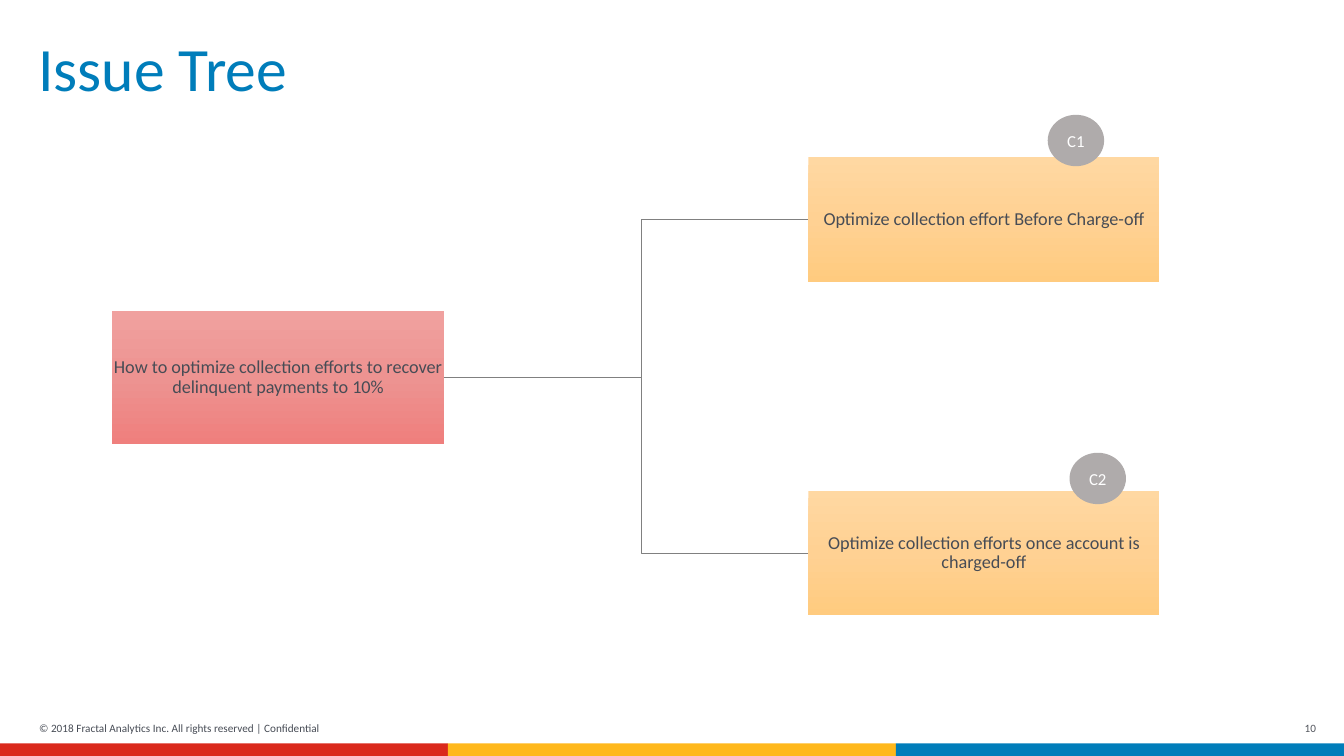
from copy import deepcopy

from pptx import Presentation
from pptx.dml.color import RGBColor
from pptx.enum.shapes import MSO_SHAPE
from pptx.enum.text import MSO_ANCHOR, PP_ALIGN
from pptx.util import Pt

RECTANGLE, OVAL = MSO_SHAPE.RECTANGLE, MSO_SHAPE.OVAL
TOP, MIDDLE, BOTTOM = MSO_ANCHOR.TOP, MSO_ANCHOR.MIDDLE, MSO_ANCHOR.BOTTOM
LEFT, CENTER = PP_ALIGN.LEFT, PP_ALIGN.CENTER

RED = RGBColor(0xDA, 0x29, 0x1C)
YELLOW = RGBColor(0xFF, 0xB8, 0x1C)
BLUE = RGBColor(0x00, 0x7D, 0xBA)
INK = RGBColor(0x47, 0x4C, 0x55)
NUMBER_INK = RGBColor(0x52, 0x55, 0x5D)
BRANCH_GRAY = RGBColor(0x80, 0x80, 0x80)
BADGE_GRAY = RGBColor(0xAF, 0xAB, 0xAB)
WHITE = RGBColor(0xFF, 0xFF, 0xFF)
PINK_SHADES = (RGBColor(0xF0, 0xA1, 0x9F), RGBColor(0xED, 0x93, 0x91),
               RGBColor(0xEF, 0x7F, 0x7D))
ORANGE_SHADES = (RGBColor(0xFF, 0xD8, 0xA2), RGBColor(0xFF, 0xD1, 0x93),
                 RGBColor(0xFF, 0xCB, 0x7F))

SLIDE_W, SLIDE_H = 960, 540
FONT = "Calibri"


def set_all(target, values):
    for key, value in values.items():
        setattr(target, key, value)


def write(shape, text, size, color, align=CENTER, anchor=MIDDLE,
          inset=(0, 0), spacing=1.0, wrap=True):
    frame = shape.text_frame
    across, down = (Pt(value) for value in inset)
    set_all(frame, {"word_wrap": wrap, "vertical_anchor": anchor,
                    "margin_left": across, "margin_right": across,
                    "margin_top": down, "margin_bottom": down})
    frame.text = text
    paragraph = frame.paragraphs[0]
    set_all(paragraph, {"alignment": align, "line_spacing": spacing})
    set_all(paragraph.font, {"name": FONT, "size": Pt(size)})
    paragraph.font.color.rgb = color


def add_block(slide, kind, box, color=None):
    block = slide.shapes.add_shape(kind, *map(Pt, box))
    block.shadow.inherit = False
    block.line.fill.background()
    if color is not None:
        block.fill.solid()
        block.fill.fore_color.rgb = color
    return block


def add_node(slide, box, text, shades):
    node = add_block(slide, RECTANGLE, box)
    node.fill.gradient()
    node.fill.gradient_angle = 270
    # A third stop between the two default ones
    first_stop = node.fill._xPr.find(".//{*}gs")
    first_stop.addnext(deepcopy(first_stop))
    for index, (stop, shade) in enumerate(zip(node.fill.gradient_stops, shades)):
        stop.position = index / 2
        stop.color.rgb = shade
    write(node, text, 13, INK, inset=(0.72, 0.72), spacing=0.9)


def add_branch(slide, start, trunk_x, end):
    bends = [(trunk_x, start[1]), (trunk_x, end[1]), end]
    builder = slide.shapes.build_freeform(*map(Pt, start))
    builder.add_line_segments([(Pt(x), Pt(y)) for x, y in bends], close=False)
    branch = builder.convert_to_shape()
    branch.shadow.inherit = False
    branch.fill.background()
    branch.line.color.rgb = BRANCH_GRAY
    branch.line.width = Pt(0.75)


def add_title(slide, box):
    title = slide.shapes.title
    places = map(Pt, box)
    set_all(title, dict(zip(("left", "top", "width", "height"), places)))
    write(title, "Issue Tree", 44, BLUE, LEFT, TOP, (9.36, 5.04), 0.9)


def add_tree(slide, box):
    left, top, width, height = box
    root_w, root_h = 237, 95.5
    option_w, option_h = 250.6, 89.3
    badge_w, badge_h = 40.3, 36.7
    root_top = top + 109.6
    root_right, root_middle = left + root_w, root_top + root_h / 2
    option_left = left + width - option_w

    # Options: top, text, badge text, badge offset from the option
    options = [
        (top, "Optimize collection effort Before Charge-off",
         "C1", (171, -30.3)),
        (top + height - option_h,
         "Optimize collection efforts once account is charged-off",
         "C2", (186.6, -27)),
    ]
    for option_top, *_ in options:
        add_branch(slide, (root_right, root_middle), left + 378,
                   (option_left, option_top + option_h / 2))
    add_node(slide, (left, root_top, root_w, root_h),
             "How to optimize collection efforts to recover delinquent "
             "payments to 10%", PINK_SHADES)
    for option_top, text, label, (shift_x, shift_y) in options:
        add_node(slide, (option_left, option_top, option_w, option_h),
                 text, ORANGE_SHADES)
        badge = add_block(slide, OVAL, (option_left + shift_x,
                                        option_top + shift_y,
                                        badge_w, badge_h), BADGE_GRAY)
        write(badge, label, 12, WHITE)


def add_footer(slide, box):
    left, top, width, height = box
    # Colour band along the bottom edge
    band_h = 9
    stripe_w = width / 3
    for index, color in enumerate((RED, YELLOW, BLUE)):
        add_block(slide, RECTANGLE, (left + index * stripe_w,
                                     top + height - band_h,
                                     stripe_w, band_h), color)
    # Copyright line and page number
    rights = slide.shapes.add_textbox(Pt(left + 28), Pt(top + 3),
                                      Pt(252), Pt(9.5))
    write(rights, "© 2018 Fractal Analytics Inc. All rights reserved | Confidential",
          8, INK, LEFT, BOTTOM)
    page = slide.shapes.add_textbox(Pt(left + width - 30.5), Pt(top),
                                    Pt(13), Pt(16))
    write(page, "10", 8, NUMBER_INK, inset=(2, 2), wrap=False)


def main():
    deck = Presentation()
    set_all(deck, {"slide_width": Pt(SLIDE_W), "slide_height": Pt(SLIDE_H)})
    slide = deck.slides.add_slide(deck.slide_layouts[5])
    add_footer(slide, (0, 512, SLIDE_W, 28))
    add_title(slide, (18, 22.3, 915, 52))
    add_tree(slide, (80, 112.3, 748, 327.4))
    deck.save("out.pptx")


if __name__ == "__main__":
    main()
